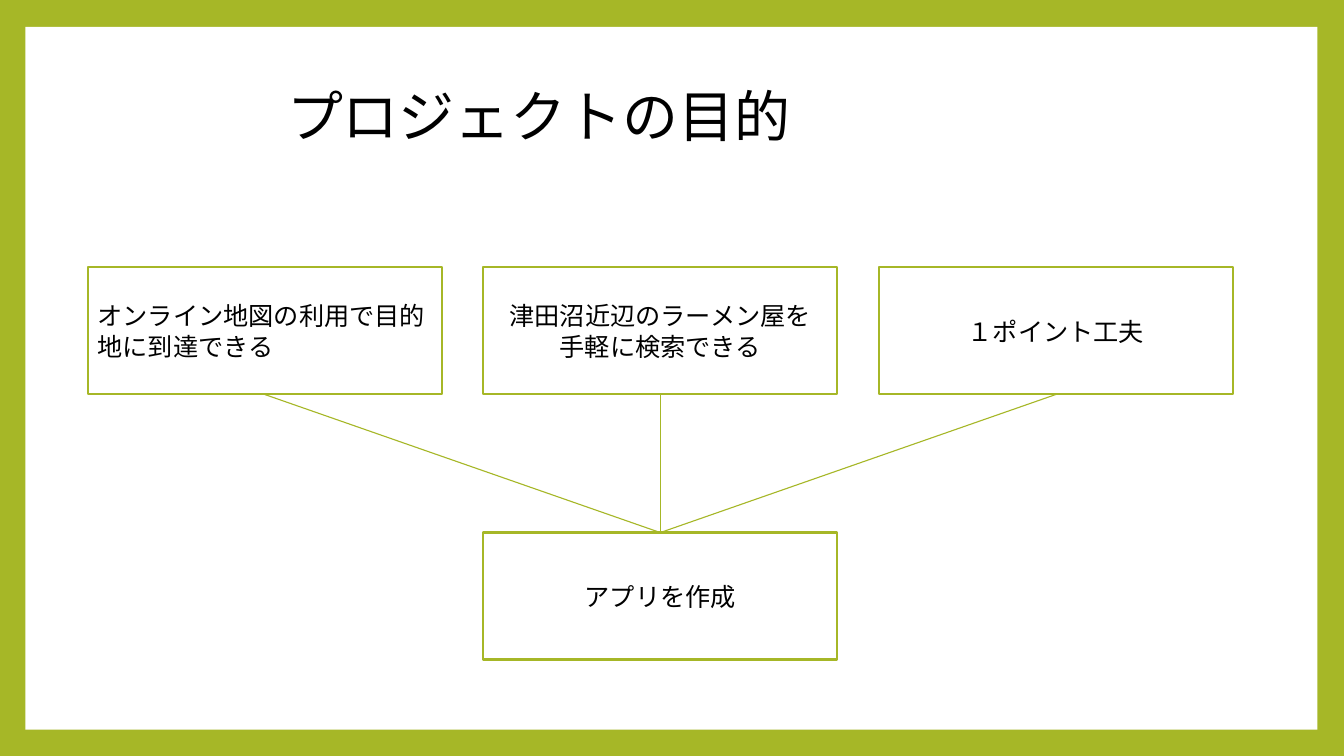
from lxml.etree import SubElement
from pptx import Presentation
from pptx.dml.color import RGBColor
from pptx.enum.shapes import MSO_CONNECTOR, MSO_SHAPE
from pptx.enum.text import MSO_ANCHOR, MSO_AUTO_SIZE, PP_ALIGN
from pptx.oxml.ns import qn
from pptx.util import Cm, Pt

TOP, BOTTOM = 0, 2  # connection sites of a rectangle


def color(hex_string):
    return RGBColor.from_string(hex_string)


class SlideBuilder:
    """Holds the slide and its style, and adds each kind of element."""

    font_name = "Calibri"
    accent = "A6B727"
    paper = "FFFFFF"
    ink = "000000"
    box_width = 8.92
    box_height = 3.2

    def __init__(self, presentation):
        self.slide = presentation.slides.add_slide(presentation.slide_layouts[5])
        self.shapes = self.slide.shapes

    def background(self):
        fill = self.slide.background.fill
        fill.solid()
        fill.fore_color.rgb = color(self.accent)

    def rectangle(self, left, top, width, height):
        shape = self.shapes.add_shape(
            MSO_SHAPE.RECTANGLE, Cm(left), Cm(top), Cm(width), Cm(height)
        )
        shape.shadow.inherit = False
        shape.fill.solid()
        shape.fill.fore_color.rgb = color(self.paper)
        return shape

    def page(self, left, top, width, height):
        """Add the white sheet behind every other element."""
        shape = self.rectangle(left, top, width, height)
        shape.line.fill.background()
        title = self.shapes.title.element
        title.addprevious(shape.element)

    def set_text(self, text_frame, lines, size, alignment):
        text_frame.word_wrap = True
        text_frame.text = "\n".join(lines)
        for paragraph in text_frame.paragraphs:
            paragraph.alignment = alignment
            paragraph.font.name = self.font_name
            paragraph.font.size = Pt(size)
            paragraph.font.color.rgb = color(self.ink)

    def title(self, text, left, top, width, height):
        title = self.shapes.title
        title.left, title.top = Cm(left), Cm(top)
        title.width, title.height = Cm(width), Cm(height)
        title.text_frame.auto_size = MSO_AUTO_SIZE.NONE
        title.text_frame.vertical_anchor = MSO_ANCHOR.TOP
        self.set_text(title.text_frame, [text], 40, PP_ALIGN.LEFT)

    def box(self, lines, left, top, alignment=PP_ALIGN.CENTER):
        shape = self.rectangle(left, top, self.box_width, self.box_height)
        shape.line.color.rgb = color(self.accent)
        shape.line.width = Pt(1.5)
        shape.text_frame.vertical_anchor = MSO_ANCHOR.MIDDLE
        self.set_text(shape.text_frame, lines, 18, alignment)
        return shape

    def connect(self, upper, lower):
        connector = self.shapes.add_connector(MSO_CONNECTOR.STRAIGHT, 0, 0, 0, 0)
        connector.begin_connect(upper, BOTTOM)
        connector.end_connect(lower, TOP)
        connector.line.color.rgb = color(self.accent)
        connector.line.width = Pt(0.79)
        SubElement(connector.element.spPr, qn("a:effectLst"))


def main():
    presentation = Presentation()
    presentation.slide_width, presentation.slide_height = Cm(33.87), Cm(19.05)

    builder = SlideBuilder(presentation)
    builder.background()
    builder.page(0.64, 0.68, 32.56, 17.71)
    builder.title("プロジェクトの目的", 6.98, 1.93, 18.16, 3.68)

    first_left, pitch = 2.21, 9.97
    purposes = [
        (["オンライン地図の利用で目的地に到達できる"], PP_ALIGN.LEFT),
        (["津田沼近辺のラーメン屋を", "手軽に検索できる"], PP_ALIGN.CENTER),
        (["１ポイント工夫"], PP_ALIGN.CENTER),
    ]
    goal = builder.box(["アプリを作成"], first_left + pitch, 13.42)
    for column, (lines, alignment) in enumerate(purposes):
        purpose = builder.box(lines, first_left + column * pitch, 6.74, alignment)
        builder.connect(purpose, goal)

    presentation.save("out.pptx")


if __name__ == "__main__":
    main()
